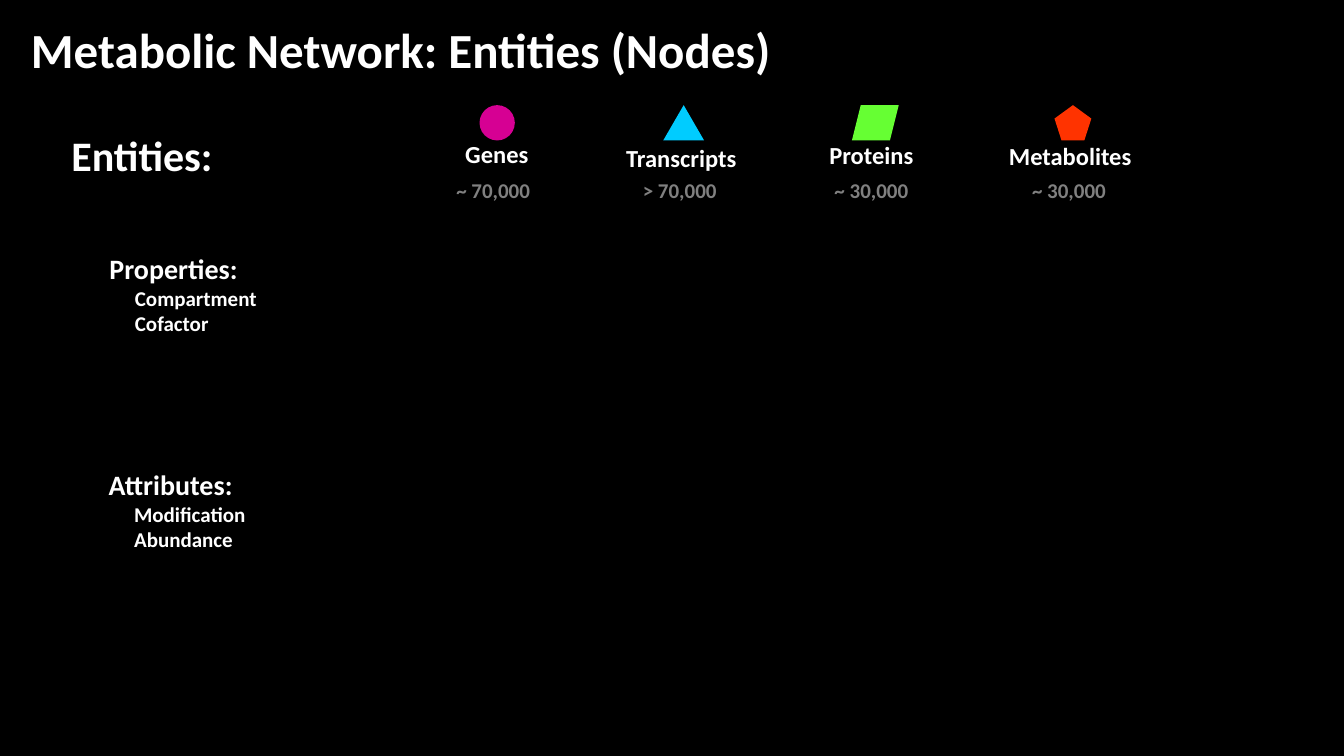
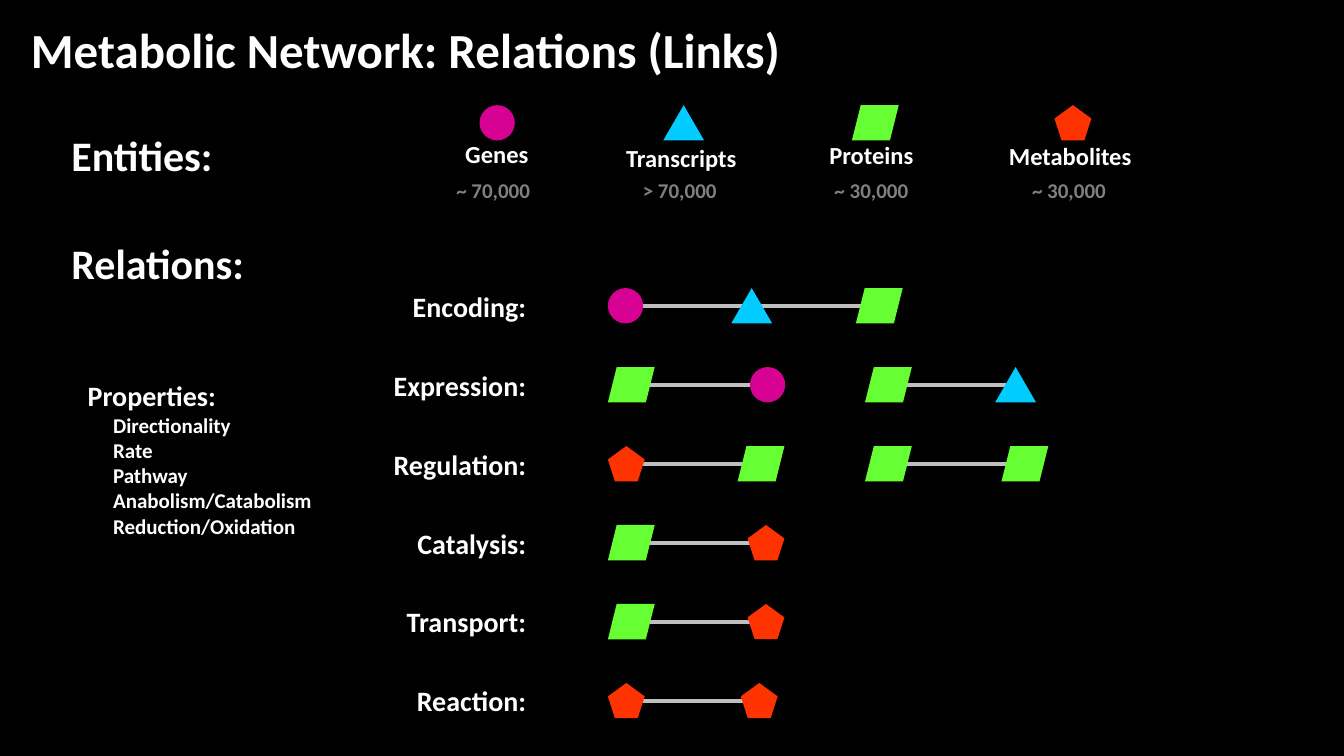
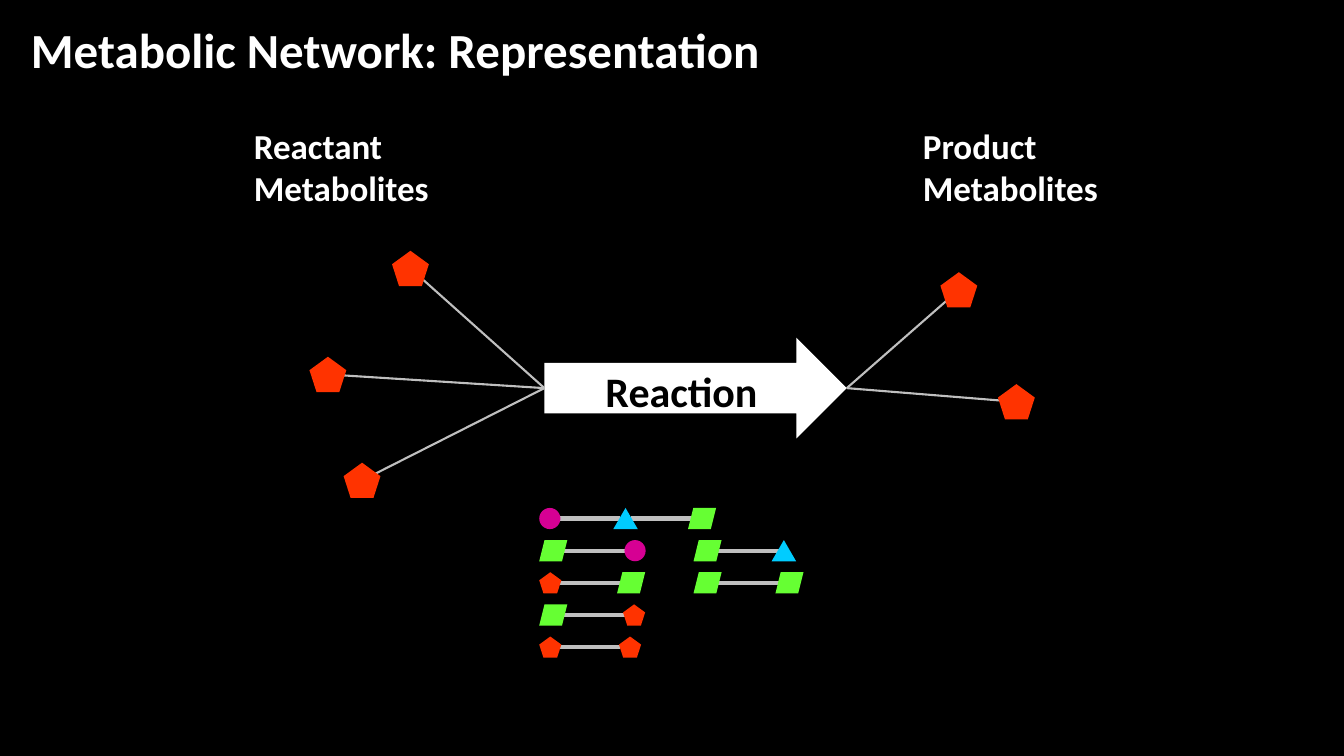
from lxml.etree import SubElement
from pptx import Presentation
from pptx.dml.color import RGBColor
from pptx.enum.shapes import MSO_CONNECTOR, MSO_SHAPE
from pptx.enum.text import PP_ALIGN
from pptx.oxml.ns import qn
from pptx.util import Cm, Pt

BLACK = RGBColor(0x00, 0x00, 0x00)
WHITE = RGBColor(0xFF, 0xFF, 0xFF)
GRAY = RGBColor(0x80, 0x80, 0x80)
SILVER = RGBColor(0xBF, 0xBF, 0xBF)
MAGENTA = RGBColor(0xD6, 0x00, 0x93)
CYAN = RGBColor(0x00, 0xCC, 0xFF)
GREEN = RGBColor(0x66, 0xFF, 0x33)
ORANGE = RGBColor(0xFF, 0x33, 0x00)

NODE_HEIGHT = 0.89
LINK_LENGTH = 2.54
SECOND_CHAIN = 6.48
INDENT = 0.64

NODES = {
    "gene": {"preset": MSO_SHAPE.OVAL, "color": MAGENTA, "width": 0.89, "exit": 0.87, "overlap": 0},
    "transcript": {"preset": MSO_SHAPE.ISOSCELES_TRIANGLE, "color": CYAN, "width": 1.03, "exit": 0.74, "overlap": 0.3},
    "protein": {"preset": MSO_SHAPE.PARALLELOGRAM, "color": GREEN, "width": 1.18, "exit": 1.04, "overlap": 0.14},
    "metabolite": {"preset": MSO_SHAPE.REGULAR_PENTAGON, "color": ORANGE, "width": 0.93, "exit": 0.87, "overlap": 0.06},
}

ENTITIES = [
    ("gene", "Genes", "~ 70,000", 12.53, 3.38, 2.11),
    ("transcript", "Transcripts", "> 70,000", 17.23, 3.48, 3.4),
    ("protein", "Proteins", "~ 30,000", 22.06, 3.4, 2.82),
    ("metabolite", "Metabolites", "~ 30,000", 27.04, 3.43, 3.73),
]

RELATIONS = {
    "Encoding": [("gene", "transcript", "protein")],
    "Expression": [("protein", "gene"), ("protein", "transcript")],
    "Regulation": [("metabolite", "protein"), ("protein", "protein")],
    "Catalysis": [("protein", "metabolite")],
    "Transport": [("protein", "metabolite")],
    "Reaction": [("metabolite", "metabolite")],
}

REACTANTS = [(9.88, 6.32), (7.8, 8.99), (8.66, 11.66)]
PRODUCTS = [(23.7, 6.86), (25.15, 9.68)]


def add_text(page, left, top, width, height, lines, size, color=WHITE, align=PP_ALIGN.LEFT):
    box = page.shapes.add_textbox(Cm(left), Cm(top), Cm(width), Cm(height))
    frame = box.text_frame
    frame.word_wrap = True
    for index, line in enumerate(lines):
        para = frame.paragraphs[0] if index == 0 else frame.add_paragraph()
        para.alignment = align
        span = para.add_run()
        span.text = line
        span.font.color.rgb = color
        for name, value in {"name": "Calibri", "size": Pt(size), "bold": True}.items():
            setattr(span.font, name, value)
    return box


def add_detail_list(page, left, top, width, height, heading, items):
    box = add_text(page, left, top, width, height, [heading, *items], 15)
    first, *others = box.text_frame.paragraphs
    first.runs[0].font.size = Pt(20)
    for para in others:
        para._p.get_or_add_pPr().set("marL", str(Cm(INDENT)))


def add_filled_shape(page, preset, left, top, width, height, color):
    shape = page.shapes.add_shape(preset, Cm(left), Cm(top), Cm(width), Cm(height))
    shape.shadow.inherit = False
    shape.fill.solid()
    shape.fill.fore_color.rgb = color
    shape.line.fill.background()
    return shape


def add_node(page, kind, left, top, scale=1):
    node = NODES[kind]
    return add_filled_shape(page, node["preset"], left, top, node["width"] * scale,
                            NODE_HEIGHT * scale, node["color"])


def add_link(page, start, end, weight):
    link = page.shapes.add_connector(MSO_CONNECTOR.STRAIGHT, *map(Cm, (*start, *end)))
    link.line.color.rgb = SILVER
    link.line.width = Pt(weight)
    SubElement(link._element.spPr, qn("a:effectLst"))
    return link


def add_chain(page, kinds, left, top, scale):
    middle = top + NODE_HEIGHT * scale / 2
    lefts = [left]
    for kind, following in zip(kinds, kinds[1:]):
        start = lefts[-1] + NODES[kind]["exit"] * scale
        end = start + LINK_LENGTH * scale
        add_link(page, (start, middle), (end, middle), 3)
        lefts.append(end - NODES[following]["overlap"] * scale)
    for kind, node_left in zip(kinds, lefts):
        add_node(page, kind, node_left, top, scale)


def add_relation(page, chains, left, top, scale=1):
    for index, kinds in enumerate(chains):
        add_chain(page, kinds, left + index * SECOND_CHAIN * scale, top, scale)


def add_entities(page):
    add_text(page, 1.55, 3.15, 4.11, 1.6, ["Entities:"], 30)
    for kind, label, count, center, label_top, label_width in ENTITIES:
        add_node(page, kind, center - NODES[kind]["width"] / 2, 2.65)
        add_text(page, center - label_width / 2, label_top, label_width, 1, [label], 17.5)
        add_text(page, center - 1.28, 4.34, 2.56, 0.89, [count], 15, GRAY)


def add_page(deck, topic):
    page = deck.slides.add_slide(deck.slide_layouts[6])
    add_text(page, 0.53, 0.36, 31.57, 1.75, [f"Metabolic Network: {topic}"], 35)
    return page


def build_entities_page(deck):
    page = add_page(deck, "Entities (Nodes)")
    add_entities(page)
    add_detail_list(page, 2.51, 6.22, 4.55, 2.39, "Properties:", ["Compartment", "Cofactor"])
    add_detail_list(page, 2.49, 11.66, 4.45, 2.39, "Attributes:", ["Modification", "Abundance"])


def build_relations_page(deck):
    page = add_page(deck, "Relations (Links)")
    add_entities(page)
    add_text(page, 1.55, 5.87, 4.88, 1.55, ["Relations:"], 30)
    add_detail_list(page, 1.96, 9.42, 6.65, 4.32, "Properties:",
                    ["Directionality", "Rate", "Pathway", "Anabolism/Catabolism", "Reduction/Oxidation"])
    for row, (name, chains) in enumerate(RELATIONS.items()):
        top = 7.26 + row * 1.99
        add_text(page, 9.61, top - 0.1, 3.9, 1.12, [f"{name}:"], 20, align=PP_ALIGN.RIGHT)
        add_relation(page, chains, 15.32, top)


def build_representation_page(deck):
    page = add_page(deck, "Representation")
    for left, role in ((6.15, "Reactant"), (23.01, "Product")):
        add_text(page, left, 3.02, 4.98, 2.39, [role, "Metabolites"], 25)
    arrow = add_filled_shape(page, MSO_SHAPE.RIGHT_ARROW, 13.72, 8.51, 7.62, 2.54, WHITE)
    add_text(page, 15.01, 9.09, 4.52, 1.32, ["Reaction"], 30, BLACK)
    for metabolites, side in ((REACTANTS, 1), (PRODUCTS, 3)):
        for left, top in metabolites:
            center = (left + NODES["metabolite"]["width"] / 2, top + NODE_HEIGHT / 2)
            add_link(page, center, center, 1.5).begin_connect(arrow, side)
            add_node(page, "metabolite", left, top)
    shown = [chains for name, chains in RELATIONS.items() if name != "Transport"]
    for row, chains in enumerate(shown):
        add_relation(page, chains, 13.59, 12.8 + row * 0.81, 0.6)


def main():
    deck = Presentation()
    deck.slide_width = Cm(33.87)
    deck.slide_height = Cm(19.05)
    backdrop = deck.slide_master.background.fill
    backdrop.solid()
    backdrop.fore_color.rgb = BLACK
    build_entities_page(deck)
    build_relations_page(deck)
    build_representation_page(deck)
    deck.save("out.pptx")


if __name__ == "__main__":
    main()
